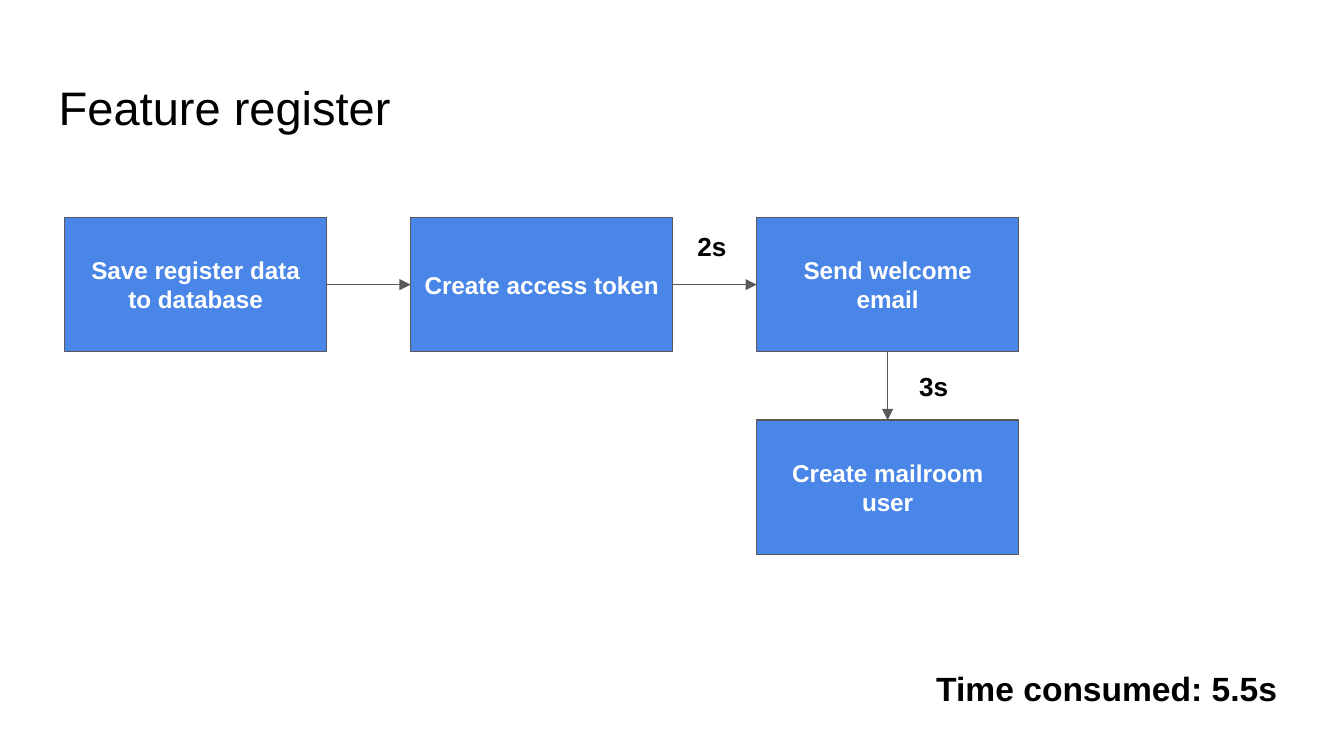
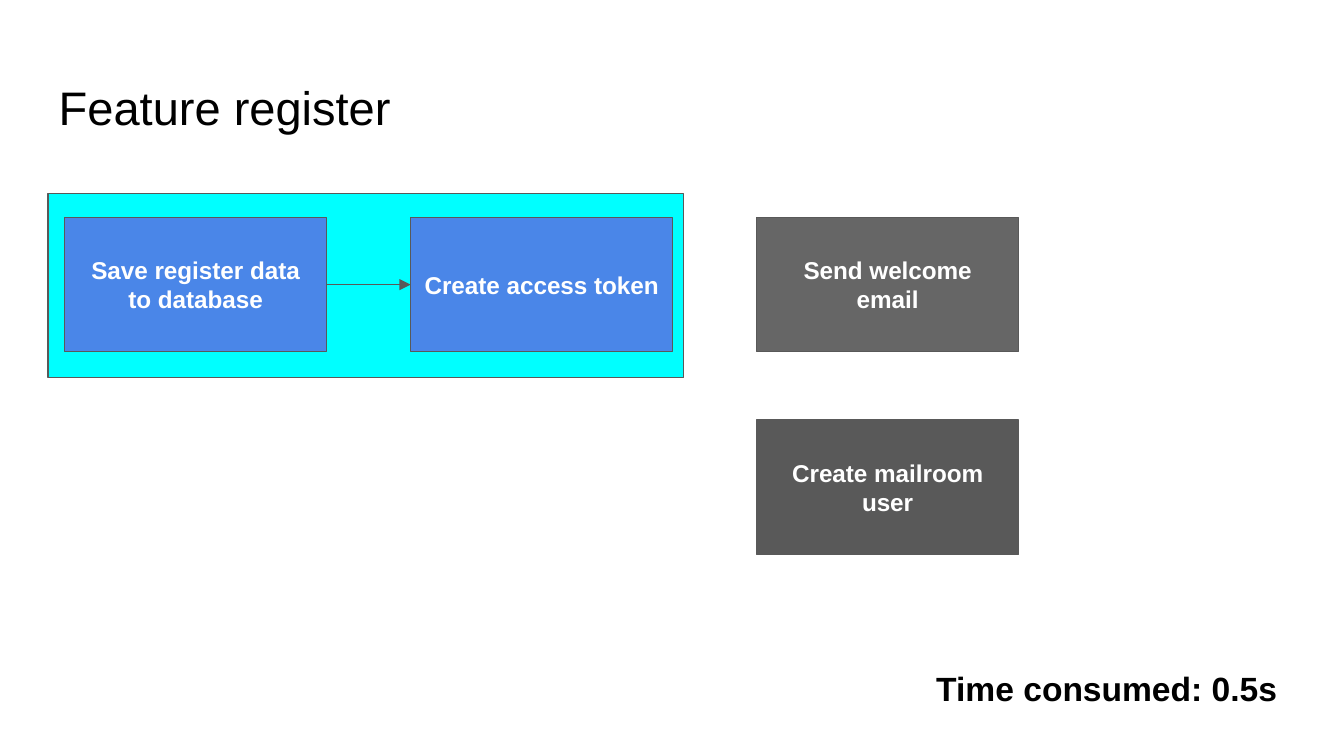
import pptx
import pptx.util
import pptx.dml.color
import pptx.enum.shapes
import pptx.enum.text
import pptx.oxml.ns
from lxml import etree

Cm = pptx.util.Cm
RGBColor = pptx.dml.color.RGBColor
ALIGN = pptx.enum.text.PP_ALIGN
ANCHOR = pptx.enum.text.MSO_ANCHOR
FIT = pptx.enum.text.MSO_AUTO_SIZE

# Shared style
FONT = "Arial"
WHITE = RGBColor(0xFF, 0xFF, 0xFF)
BLACK = RGBColor(0x00, 0x00, 0x00)
BLUE = RGBColor(0x4A, 0x86, 0xE8)
CYAN = RGBColor(0x00, 0xFF, 0xFF)
GREY = RGBColor(0x66, 0x66, 0x66)
DARK = RGBColor(0x59, 0x59, 0x59)
STROKE = pptx.util.Pt(0.75)
INSET = Cm(0.25)

# Areas: left, top, width, height in cm
TITLE = (0.86, 1.24, 23.67, 1.6)
FLOW = (1.22, 4.11, 18.03, 6.37)
TOTAL = (15.32, 12.37, 9.07, 1.27)

# Step grid in cm
STEP_W, STEP_H = 4.95, 2.54
STEPS = [  # words, column, row
    ("Save register data to database", 0, 0),
    ("Create access token", 1, 0),
    ("Send welcome email", 2, 0),
    ("Create mailroom user", 2, 1),
]
TOP, LEFT, BOTTOM, RIGHT = range(4)


def write(frame, words, size=13, color=BLACK, bold=True, align=ALIGN.LEFT,
          anchor=ANCHOR.TOP, fit=FIT.NONE):
    frame.word_wrap = True
    frame.auto_size = fit
    frame.vertical_anchor = anchor
    frame.margin_left = frame.margin_right = INSET
    frame.margin_top = frame.margin_bottom = INSET
    para = frame.paragraphs[0]
    para.alignment = align
    run = para.add_run()
    run.text = words
    font = run.font
    font.name, font.size, font.bold = FONT, pptx.util.Pt(size), bold
    font.color.rgb = color


def add_label(slide, box, words, **style):
    label = slide.shapes.add_textbox(*map(Cm, box))
    write(label.text_frame, words, fit=FIT.SHAPE_TO_FIT_TEXT, **style)


def add_rect(slide, box, fill):
    rect = slide.shapes.add_shape(
        pptx.enum.shapes.MSO_SHAPE.RECTANGLE, *map(Cm, box))
    rect.shadow.inherit = False
    rect.fill.solid()
    rect.fill.fore_color.rgb = fill
    rect.line.color.rgb = DARK
    rect.line.width = STROKE
    return rect


def add_arrow(slide, start, start_side, end, end_side):
    arrow = slide.shapes.add_connector(
        pptx.enum.shapes.MSO_CONNECTOR.STRAIGHT, 0, 0, 0, 0)
    arrow.begin_connect(start, start_side)
    arrow.end_connect(end, end_side)
    arrow.line.color.rgb = DARK
    arrow.line.width = STROKE
    qn = pptx.oxml.ns.qn
    etree.SubElement(arrow.line._get_or_add_ln(), qn("a:tailEnd"),
                     type="triangle")
    etree.SubElement(arrow._element.spPr, qn("a:effectLst"))


def add_title(slide, box, words):
    title = slide.shapes.title
    title.left, title.top, title.width, title.height = map(Cm, box)
    write(title.text_frame, words, size=25.2, bold=False)


def add_flow(slide, box, fills, links, times, band):
    left, top, width, height = box
    across = (width - STEP_W) / 2
    down = height - STEP_H

    # Band behind the first two steps
    if band:
        add_rect(slide, (left - 0.31, top - 0.45, 12.01, 3.48), CYAN)

    # Steps
    steps = []
    for (words, col, row), fill in zip(STEPS, fills):
        place = (left + col * across, top + row * down, STEP_W, STEP_H)
        step = add_rect(slide, place, fill)
        write(step.text_frame, words, color=WHITE, align=ALIGN.CENTER,
              anchor=ANCHOR.MIDDLE)
        steps.append(step)

    # Arrows
    for start, start_side, end, end_side in links:
        add_arrow(slide, steps[start], start_side, steps[end], end_side)

    # Times beside the arrows
    for words, dx, dy in times:
        add_label(slide, (left + dx, top + dy, 1.14, 1.12), words, size=14)


def add_page(deck, total, fills, links, times=(), band=False):
    slide = deck.slides.add_slide(deck.slide_layouts[5])
    add_title(slide, TITLE, "Feature register")
    add_flow(slide, FLOW, fills, links, times, band)
    add_label(slide, TOTAL, f"Time consumed: {total}", size=18,
              align=ALIGN.RIGHT)


def main():
    deck = pptx.Presentation()
    deck.slide_width, deck.slide_height = Cm(25.4), Cm(14.29)
    first = (0, RIGHT, 1, LEFT)

    # All steps in a row
    add_page(deck, "5.5s", [BLUE] * 4,
             [first, (1, RIGHT, 2, LEFT), (2, BOTTOM, 3, TOP)],
             times=[("2s", 11.71, 0), ("3s", 15.9, 2.65)])

    # Slow steps set apart
    add_page(deck, "0.5s", [BLUE, BLUE, GREY, DARK], [first], band=True)
    deck.save("out.pptx")


if __name__ == "__main__":
    main()
